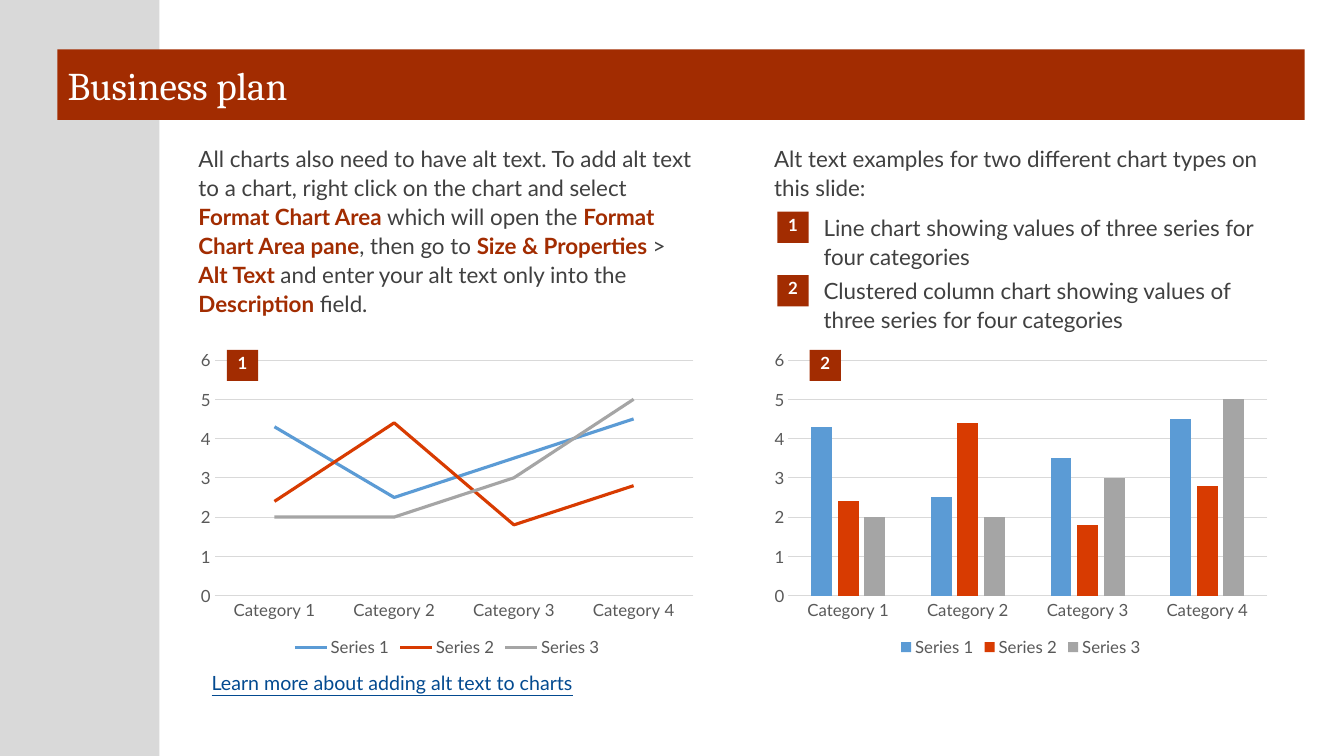
"""Build the business plan slide with two charts and numbered captions."""
import pptx
import pptx.chart.data
import pptx.dml.color
import pptx.enum.chart
import pptx.enum.shapes
import pptx.enum.text
import pptx.util

Inches = pptx.util.Inches
Pt = pptx.util.Pt
PP_ALIGN = pptx.enum.text.PP_ALIGN
MSO_ANCHOR = pptx.enum.text.MSO_ANCHOR
XL_CHART_TYPE = pptx.enum.chart.XL_CHART_TYPE

COLORS = {
    "accent": "A22C01",
    "strip": "D9D9D9",
    "white": "FFFFFF",
    "text": "404040",
    "link": "034A90",
    "label": "595959",
    "grid": "D9D9D9",
}
BODY_FONT = "Lato"
CATEGORIES = ["Category 1", "Category 2", "Category 3", "Category 4"]
SERIES = [
    ("Series 1", [4.3, 2.5, 3.5, 4.5], "5B9BD5"),
    ("Series 2", [2.4, 4.4, 1.8, 2.8], "D83B01"),
    ("Series 3", [2, 2, 3, 5], "A5A5A5"),
]
INSTRUCTIONS = [
    "All charts also need to have alt text. To add alt text to a chart, "
    "right click on the chart and select ",
    "Format Chart Area ",
    "which will open the ",
    "Format Chart Area pane",
    ", then go to ",
    "Size & Properties ",
    "> ",
    "Alt Text ",
    "and enter your alt text only into the ",
    "Description",
    " field.",
]
CAPTIONS = [
    "Line chart showing values of three series for four categories",
    "Clustered column chart showing values of three series for four categories",
]
CHARTS = [
    (XL_CHART_TYPE.LINE, 1.89, 2.25),
    (XL_CHART_TYPE.COLUMN_CLUSTERED, 7.58, 8.03),
]


def rgb(hex_color):
    return pptx.dml.color.RGBColor.from_string(hex_color)


def set_font(font, size, color, name=BODY_FONT):
    font.size = Pt(size)
    font.name = name
    font.color.rgb = rgb(color)


def add_rectangle(slide, left, top, width, height, color):
    shape = slide.shapes.add_shape(
        pptx.enum.shapes.MSO_SHAPE.RECTANGLE,
        Inches(left), Inches(top), Inches(width), Inches(height))
    shape.shadow.inherit = False
    shape.fill.solid()
    shape.fill.fore_color.rgb = rgb(color)
    shape.line.fill.background()
    return shape


def add_title(slide, text):
    title = slide.shapes.title
    title.left, title.top = Inches(0.57), Inches(0.49)
    title.width, title.height = Inches(12.37), Inches(0.7)
    title.fill.solid()
    title.fill.fore_color.rgb = rgb(COLORS["accent"])
    frame = title.text_frame
    frame.text = text
    frame.auto_size = pptx.enum.text.MSO_AUTO_SIZE.NONE
    frame.vertical_anchor = MSO_ANCHOR.MIDDLE
    paragraph = frame.paragraphs[0]
    paragraph.alignment = PP_ALIGN.LEFT
    set_font(paragraph.font, 28, COLORS["white"], "Cambria")


def add_text(slide, left, top, width, height, parts, size=16,
             color=COLORS["text"], line_spacing=1.08):
    """Add a text box in which every second part is emphasised."""
    box = slide.shapes.add_textbox(
        Inches(left), Inches(top), Inches(width), Inches(height))
    box.text_frame.word_wrap = True
    paragraph = box.text_frame.paragraphs[0]
    paragraph.line_spacing = line_spacing
    set_font(paragraph.font, size, color)
    for index, part in enumerate(parts):
        run = paragraph.add_run()
        run.text = part
        if index % 2:
            run.font.bold = True
            run.font.color.rgb = rgb(COLORS["accent"])
    return paragraph


def add_badge(slide, left, top, number):
    badge = add_rectangle(slide, left, top, 0.31, 0.31, COLORS["accent"])
    frame = badge.text_frame
    frame.margin_left = frame.margin_right = frame.margin_bottom = 0
    frame.margin_top = Inches(0.03)
    frame.vertical_anchor = MSO_ANCHOR.TOP
    frame.text = str(number)
    paragraph = frame.paragraphs[0]
    paragraph.alignment = PP_ALIGN.CENTER
    paragraph.font.bold = True
    set_font(paragraph.font, 12, COLORS["white"])


def style_axes(chart):
    tick_none = pptx.enum.chart.XL_TICK_MARK.NONE
    for axis in (chart.category_axis, chart.value_axis):
        axis.major_tick_mark = axis.minor_tick_mark = tick_none
        set_font(axis.tick_labels.font, 12, COLORS["label"])
    value_axis = chart.value_axis
    value_axis.minimum_scale, value_axis.maximum_scale = 0, 6
    value_axis.major_unit = 1
    value_axis.format.line.fill.background()
    value_axis.has_major_gridlines = True
    for line in (chart.category_axis.format.line,
                 value_axis.major_gridlines.format.line):
        line.color.rgb = rgb(COLORS["grid"])
        line.width = Pt(0.75)


def add_series_chart(slide, chart_type, left, top):
    data = pptx.chart.data.CategoryChartData()
    data.categories = CATEGORIES
    for name, values, _ in SERIES:
        data.add_series(name, values)
    chart = slide.shapes.add_chart(
        chart_type, Inches(left), Inches(top), Inches(5.09), Inches(3.15), data).chart
    chart.has_title = False
    chart.font.name = BODY_FONT
    chart.font.size = Pt(10)
    chart.has_legend = True
    chart.legend.position = pptx.enum.chart.XL_LEGEND_POSITION.BOTTOM
    chart.legend.include_in_layout = False
    set_font(chart.legend.font, 12, COLORS["label"])
    style_axes(chart)
    plot = chart.plots[0]
    plot.vary_by_categories = False
    is_line = chart_type == XL_CHART_TYPE.LINE
    if not is_line:
        plot.gap_width, plot.overlap = 219, -27
    for series, (_, _, color) in zip(plot.series, SERIES):
        if is_line:
            series.smooth = False
            series.marker.style = pptx.enum.chart.XL_MARKER_STYLE.NONE
            series.format.line.color.rgb = rgb(color)
            series.format.line.width = Pt(2.25)
        else:
            series.format.fill.solid()
            series.format.fill.fore_color.rgb = rgb(color)


def main():
    presentation = pptx.Presentation()
    presentation.slide_width = Inches(13.33)
    presentation.slide_height = Inches(7.5)
    slide = presentation.slides.add_slide(presentation.slide_layouts[5])

    add_title(slide, "Business plan")
    strip = add_rectangle(slide, 0, 0, 1.58, 7.5, COLORS["strip"])
    slide.shapes.title.element.addprevious(strip.element)

    add_text(slide, 1.87, 1.37, 5.12, 2.09, INSTRUCTIONS)
    add_text(slide, 7.58, 1.37, 5.21, 0.67,
             ["Alt text examples for two different chart types on this slide:"])
    for index, caption in enumerate(CAPTIONS):
        top = 2.05 + 0.63 * index
        add_badge(slide, 7.71, top + 0.05, index + 1)
        add_text(slide, 8.07, top, 4.67, 0.68, [caption])
    for number, (chart_type, left, badge_left) in enumerate(CHARTS, start=1):
        add_series_chart(slide, chart_type, left, 3.41)
        add_badge(slide, badge_left, 3.47, number)

    link = add_text(slide, 2, 6.61, 3.96, 0.34,
                    ["Learn more about adding alt text to charts"],
                    14, COLORS["link"], 1)
    link.font.underline = True
    link.runs[0].font.underline = True
    presentation.save("out.pptx")


if __name__ == "__main__":
    main()
